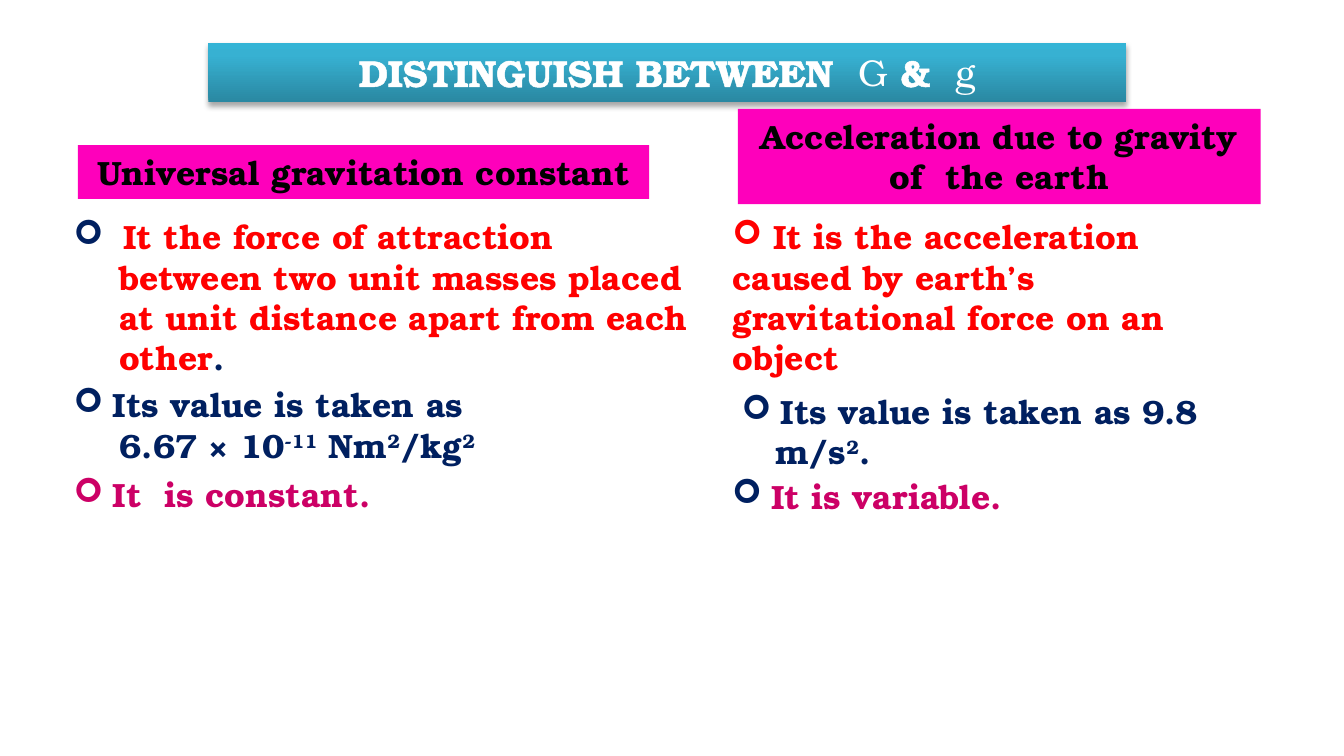
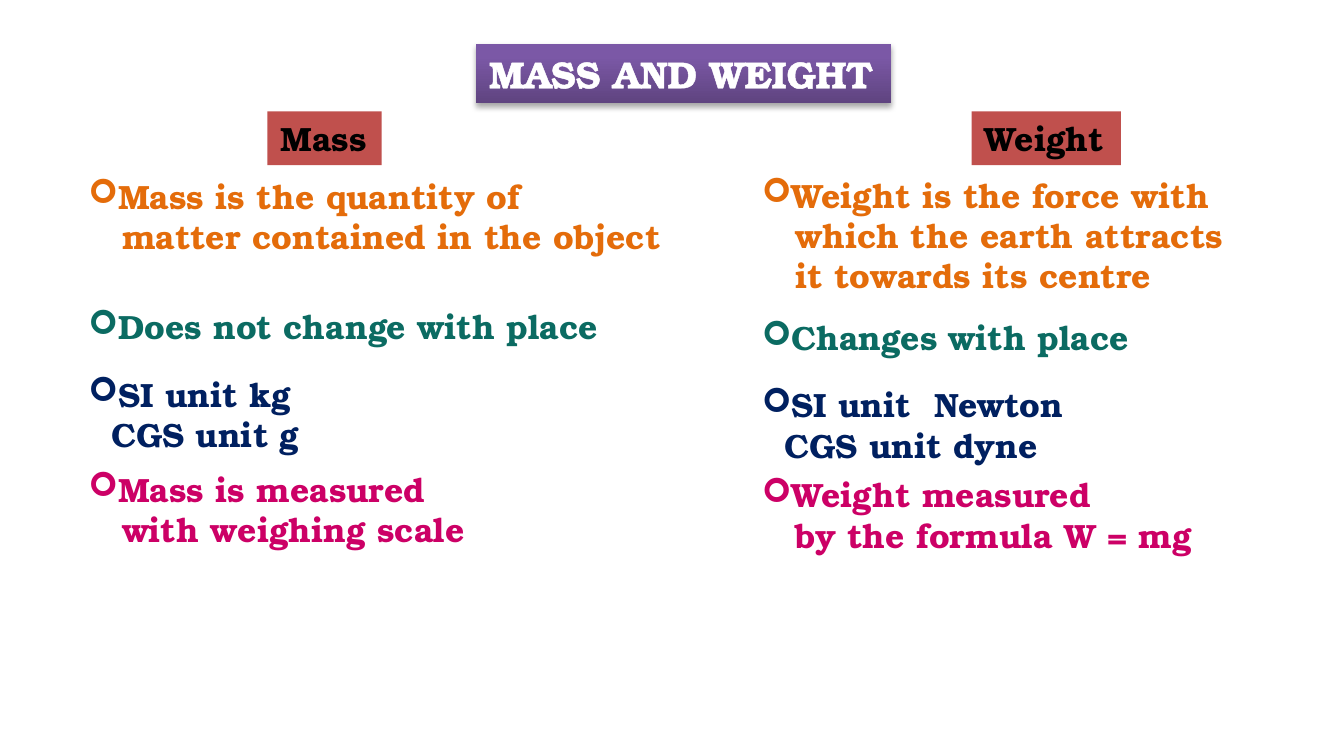
from dataclasses import dataclass

from lxml.etree import SubElement
from pptx import Presentation
from pptx.dml.color import RGBColor as Rgb
from pptx.enum.shapes import MSO_SHAPE as Shape
from pptx.enum.text import MSO_AUTO_SIZE as AutoSize, MSO_ANCHOR as Anchor, PP_ALIGN as Align
from pptx.oxml.ns import qn
from pptx.util import Inches, Pt


@dataclass(frozen=True)
class Theme:
    font: str = "TeX Gyre Bonum"
    bullet_font: str = "Wingdings"
    title_size: int = 20
    body_size: int = 18
    white: str = "FFFFFF"
    black: str = "000000"
    navy: str = "002060"
    red: str = "FF0000"
    pink: str = "CC0066"
    orange: str = "E46C0A"
    teal: str = "0B6B62"
    magenta: str = "FE00BB"
    brick: str = "C0504D"
    blue_band: tuple = ((0, "2A88A2"), (80, "37B1D2"), (100, "34B4D6"))
    purple_band: tuple = ((0, "5F4480"), (80, "7B58A6"), (100, "7C57A8"))


THEME = Theme()


@dataclass
class Span:
    text: str
    color: str
    size: int = THEME.body_size
    bold: bool = True
    raised: bool = False
    outlined: bool = False


@dataclass
class Line:
    spans: list
    indent: float = 0
    bullet: str = ""  # bullet colour; empty for a continuation line
    hanging: bool = True


# Small XML helpers
def add_node(parent, tag, **values):
    return SubElement(parent, qn(tag), {key: str(value) for key, value in values.items()})


def add_solid(parent, color):
    add_node(add_node(parent, "a:solidFill"), "a:srgbClr", val=color)


def outline_text(props):
    line = add_node(props, "a:ln", w=Pt(0.71))
    add_solid(line, THEME.white)
    props.insert(0, line)


def add_gradient(props, stops):
    gradient = add_node(props, "a:gradFill", rotWithShape=1)
    stop_list = add_node(gradient, "a:gsLst")
    for position, color in stops:
        stop = add_node(stop_list, "a:gs", pos=position * 1000)
        add_node(stop, "a:srgbClr", val=color)
    add_node(gradient, "a:lin", ang=270 * 60000, scaled=0)


def add_shadow(props):
    shadow = add_node(props.find(qn("a:effectLst")), "a:outerShdw", blurRad=Pt(3.1),
                      dist=Pt(1.8), dir=90 * 60000, rotWithShape=0)
    color = add_node(shadow, "a:srgbClr", val=THEME.black)
    add_node(color, "a:alpha", val=35000)


# Text
def write_span(para, span):
    run = para.add_run()
    run.text = span.text
    formats = {"name": THEME.font, "size": Pt(span.size), "bold": span.bold}
    for name, value in formats.items():
        setattr(run.font, name, value)
    run.font.color.rgb = Rgb.from_string(span.color)
    props = run.font._element
    if span.raised:
        props.set("baseline", "30000")
    if span.outlined:
        outline_text(props)


def set_bullet(para, line):
    props = para._p.get_or_add_pPr()
    margin = Inches(line.indent)
    props.set("marL", str(margin))
    props.set("indent", str(-margin if line.bullet and line.hanging else 0))
    if line.bullet:
        add_node(add_node(props, "a:buClr"), "a:srgbClr", val=line.bullet)
        add_node(props, "a:buFont", typeface=THEME.bullet_font)
        add_node(props, "a:buChar", char="➢")
    else:
        add_node(props, "a:buNone")
    para.font.size = Pt(THEME.body_size)


def fill_frame(frame, lines, align=Align.LEFT, wrap=True):
    formats = {"word_wrap": wrap, "auto_size": AutoSize.SHAPE_TO_FIT_TEXT,
               "vertical_anchor": Anchor.TOP}
    for name, value in formats.items():
        setattr(frame, name, value)
    for index, line in enumerate(lines):
        para = frame.add_paragraph() if index else frame.paragraphs[0]
        para.alignment = align
        set_bullet(para, line)
        for span in line.spans:
            write_span(para, span)


# Kinds of element
def add_rectangle(page, place):
    box = page.shapes.add_shape(Shape.RECTANGLE, *map(Inches, place))
    box.shadow.inherit = False
    box.line.fill.background()
    return box


def add_title(page, place, spans, stops, align):
    box = add_rectangle(page, place)
    props = box._element.spPr
    add_gradient(props, stops)
    props.insert(2, props[-1])  # the fill follows the geometry
    add_shadow(props)
    fill_frame(box.text_frame, [Line(spans)], align)


def add_heading(page, place, text, color, align=Align.CENTER, wrap=True):
    box = add_rectangle(page, place)
    box.fill.solid()
    box.fill.fore_color.rgb = Rgb.from_string(color)
    fill_frame(box.text_frame, [Line([Span(text, THEME.black)])], align, wrap)


def add_points(page, place, lines):
    box = page.shapes.add_textbox(*map(Inches, place))
    fill_frame(box.text_frame, lines)


def title_span(text, strong=True):
    return Span(text, THEME.white, THEME.title_size, strong, outlined=strong)


def plain_lines(color, texts, first, rest):
    """A bulleted first line, then continuation lines at their own indent."""
    return [Line([Span(text, color)], rest if index else first, "" if index else color)
            for index, text in enumerate(texts)]


# Slides
def build_constants(page):
    navy, red, pink = THEME.navy, THEME.red, THEME.pink
    hang, rest = 0.29, 0.34
    add_title(page, (1.55, 0.32, 6.83, 0.44),
              [title_span("DISTINGUISH BETWEEN "), title_span(" G", False),
               title_span(" & "), title_span(" g", False)], THEME.blue_band, Align.CENTER)
    add_heading(page, (0.58, 1.08, 4.25, 0.4), "Universal gravitation constant", THEME.magenta)
    add_heading(page, (5.49, 0.81, 3.89, 0.71),
                "Acceleration due to gravity of  the earth", THEME.magenta)

    # Left column: G
    add_points(page, (0.45, 1.56, 4.9, 1.31), [
        Line([Span("It the force of attraction", red)], 0.37, navy),
        Line([Span("between two unit masses placed", red)], rest),
        Line([Span("at unit distance apart from each", red)], rest),
        Line([Span("other", red), Span(".", navy)], rest)])
    add_points(page, (0.45, 2.81, 4.42, 0.71), [
        Line([Span("Its value is taken as", navy)], hang, navy),
        Line([Span("6.67 × 10", navy), Span("-11", navy, raised=True), Span(" Nm", navy),
              Span("2", navy, raised=True), Span("/kg", navy),
              Span("2", navy, raised=True)], rest)])
    add_points(page, (0.45, 3.48, 4.42, 0.4),
               [Line([Span("It  is constant.", pink)], hang, pink)])

    # Right column: g
    add_points(page, (5.35, 1.56, 4.02, 1.31), [
        Line([Span(" It is the acceleration caused by earth’s gravitational force on an object",
                   red)], 0, red, hanging=False)])
    add_points(page, (5.42, 2.86, 4.5, 0.71), [
        Line([Span("Its value is taken as 9.8", navy)], hang, navy),
        Line([Span("m/s", navy), Span("2", navy, raised=True), Span(".", navy)], 0.25)])
    add_points(page, (5.35, 3.49, 4.33, 0.4),
               [Line([Span("It is variable.", pink)], hang, navy)])


def build_mass_weight(page):
    add_title(page, (3.54, 0.33, 3.09, 0.44), [title_span("MASS AND WEIGHT")],
              THEME.purple_band, Align.LEFT)
    for left, width, text in ((1.99, 0.85, "Mass"), (7.23, 1.11, "Weight")):
        add_heading(page, (left, 0.83, width, 0.4), text, THEME.brick, Align.LEFT, wrap=False)

    # Colour and continuation indent of each row, shared by both columns
    rows = ((THEME.orange, 0.25), (THEME.teal, 0.25), (THEME.navy, 0.17), (THEME.pink, 0.25))
    columns = (
        (0.56, (
            (1.26, 4.51, ("Mass is the quantity of", "matter contained in the object")),
            (2.23, 4.02, ("Does not change with place",)),
            (2.73, 3.67, ("SI unit kg", "CGS unit g")),
            (3.44, 3.67, ("Mass is measured", "with weighing scale")))),
        (5.57, (
            (1.25, 3.85, ("Weight is the force with", "which the earth attracts",
                          "it towards its centre")),
            (2.31, 3.44, ("Changes with place",)),
            (2.81, 3.44, ("SI unit  Newton", "CGS unit dyne")),
            (3.48, 3.44, ("Weight measured", "by the formula W = mg")))))
    for left, points in columns:
        for (color, rest), (top, width, texts) in zip(rows, points):
            height = 0.1 + 0.3 * len(texts)
            add_points(page, (left, top, width, height), plain_lines(color, texts, 0.21, rest))


def main():
    deck = Presentation()
    deck.slide_width = Inches(10)
    deck.slide_height = deck.slide_width * 9 // 16
    for build in (build_constants, build_mass_weight):
        build(deck.slides.add_slide(deck.slide_layouts[6]))
    deck.save("out.pptx")


if __name__ == "__main__":
    main()
